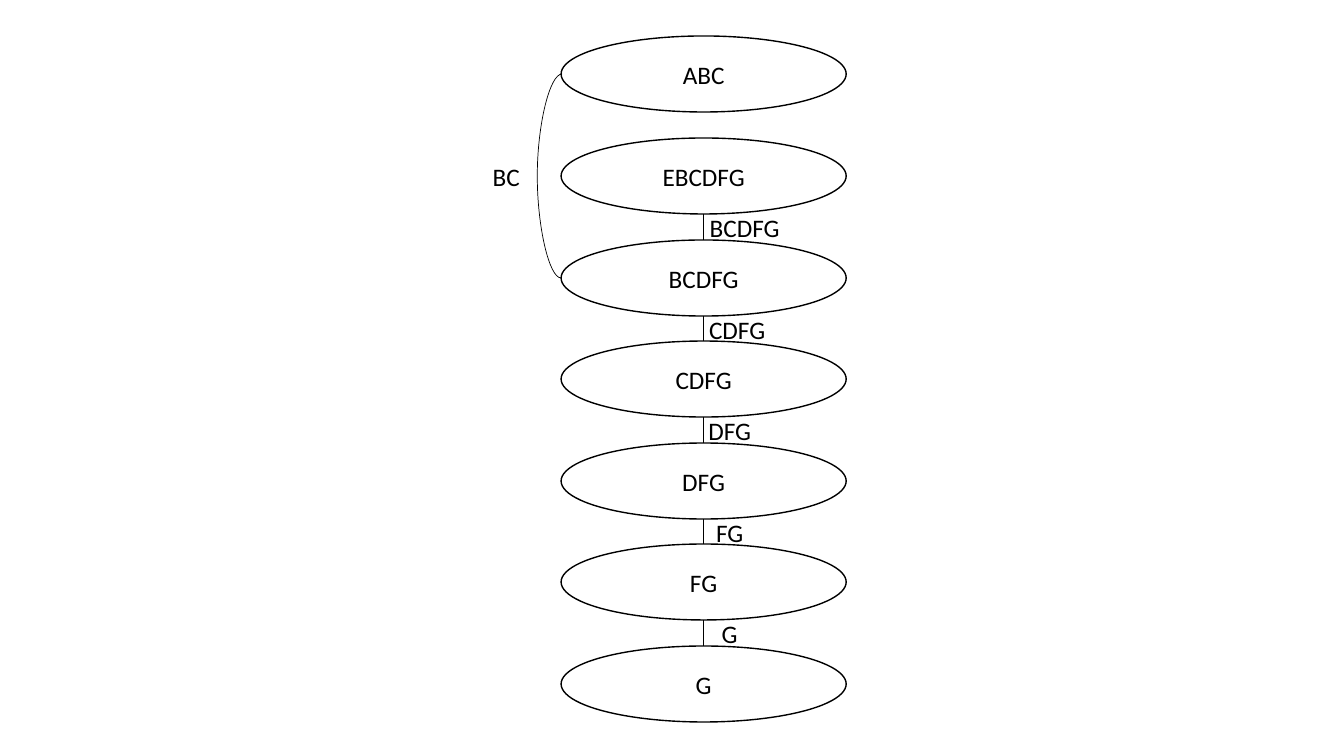
"""Build a join tree slide: a column of cluster ellipses with labelled separators."""
from lxml import etree
from pptx import Presentation, util as u
from pptx.dml.color import RGBColor
from pptx.enum import shapes, text
from pptx.oxml.ns import qn

BLACK = RGBColor(0, 0, 0)
WHITE = RGBColor(255, 255, 255)

CLUSTERS = ["ABC", "EBCDFG", "BCDFG", "CDFG", "DFG", "FG", "G"]
SEPARATORS = [
    (1, "BCDFG", 696, 97),
    (2, "CDFG", 687, 100),
    (3, "DFG", 687, 85),
    (4, "FG", 687, 85),
    (5, "G", 687, 85),
]
BYPASS = (0, 2, "BC", 472, 68)

LEFT, WIDTH, HEIGHT = 561, 285, 76
CENTER = LEFT + WIDTH // 2
TOPS = [round(36.4 + 101.6 * row) for row in range(len(CLUSTERS))]
LABEL_HEIGHT, LABEL_RISE, BULGE = 40, 7, 24


def px(pixels):
    return round(pixels * u.Inches(1) / 100.8)


def write(frame, words):
    paragraph = frame.paragraphs[0]
    paragraph.text = words
    paragraph.alignment = text.PP_ALIGN.CENTER
    paragraph.font.name = "Calibri"
    paragraph.font.size = u.Pt(18)
    paragraph.font.color.rgb = BLACK


def add_label(words, left, top, width):
    label = slide.shapes.add_textbox(px(left), px(top), px(width), px(LABEL_HEIGHT))
    label.text_frame.word_wrap = True
    write(label.text_frame, words)


def add_edge(kind, *ends):
    edge = slide.shapes.add_connector(kind, *map(px, ends))
    edge.line.color.rgb = BLACK
    edge.line.width = u.Pt(0.5)
    etree.SubElement(edge._element.spPr, qn("a:effectLst"))
    return edge


prs = Presentation()
prs.slide_width, prs.slide_height = u.Inches(13.33), u.Inches(7.5)
slide = prs.slides.add_slide(prs.slide_layouts[6])

for words, top in zip(CLUSTERS, TOPS):
    cluster = slide.shapes.add_shape(
        shapes.MSO_SHAPE.OVAL, px(LEFT), px(top), px(WIDTH), px(HEIGHT))
    cluster.shadow.inherit = False
    cluster.fill.solid()
    cluster.fill.fore_color.rgb = WHITE
    cluster.line.color.rgb = BLACK
    cluster.line.width = u.Pt(1)
    cluster.text_frame.vertical_anchor = text.MSO_ANCHOR.MIDDLE
    write(cluster.text_frame, words)

for row, words, left, width in SEPARATORS:
    bottom = TOPS[row] + HEIGHT
    add_edge(shapes.MSO_CONNECTOR.STRAIGHT, CENTER, bottom, CENTER, TOPS[row + 1])
    add_label(words, left, bottom - LABEL_RISE, width)

first, last, words, left, width = BYPASS
start, end = (TOPS[row] + HEIGHT // 2 for row in (first, last))
curve = add_edge(shapes.MSO_CONNECTOR.CURVE, LEFT + 1, start, LEFT, end)
adjustments = curve._element.spPr.find(qn("a:prstGeom")).get_or_add_avLst()
etree.SubElement(adjustments, qn("a:gd"), name="adj1", fmla=f"val {(BULGE + 1) * 100000}")
add_label(words, left, (start + end - LABEL_HEIGHT) // 2, width)

prs.save("out.pptx")
